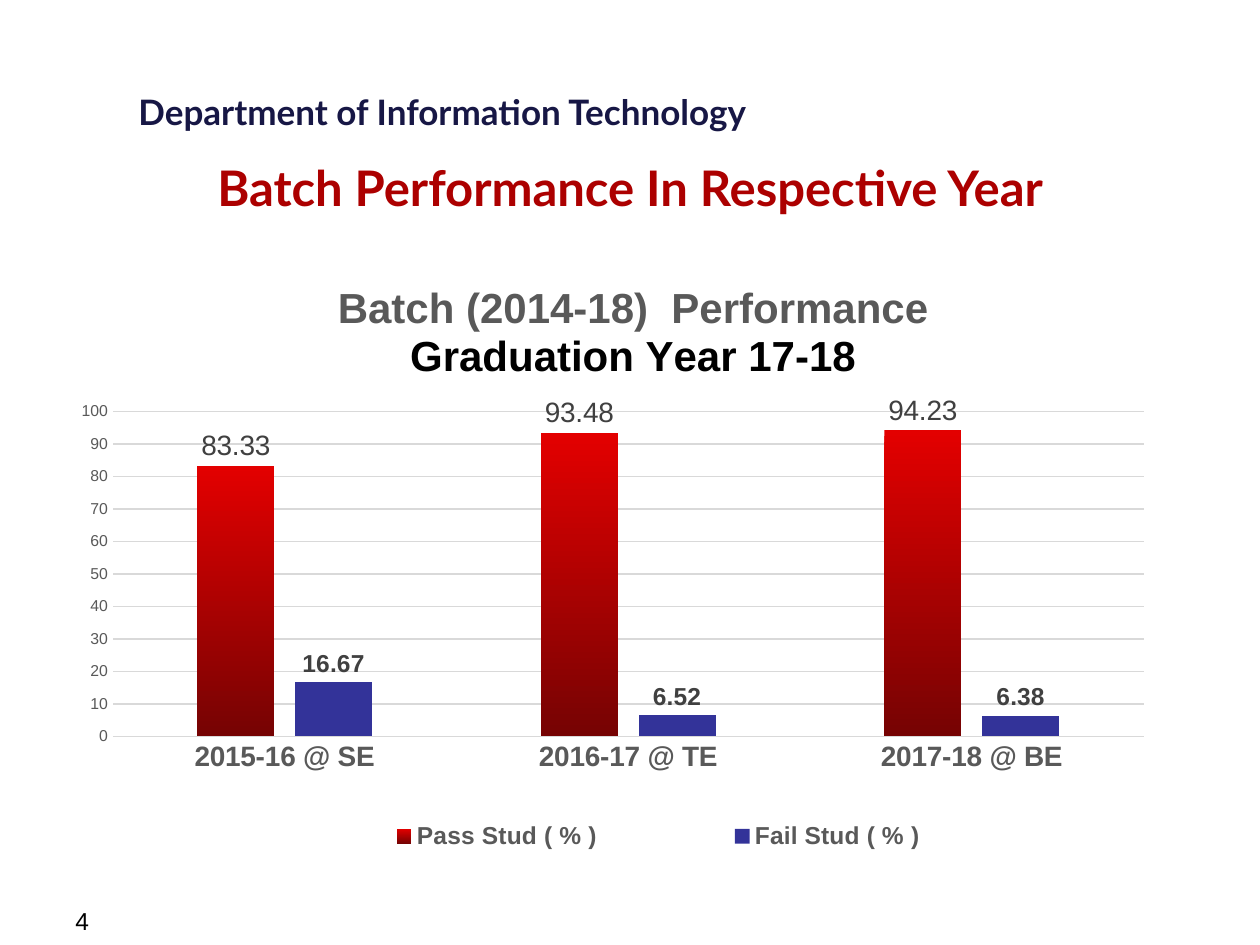
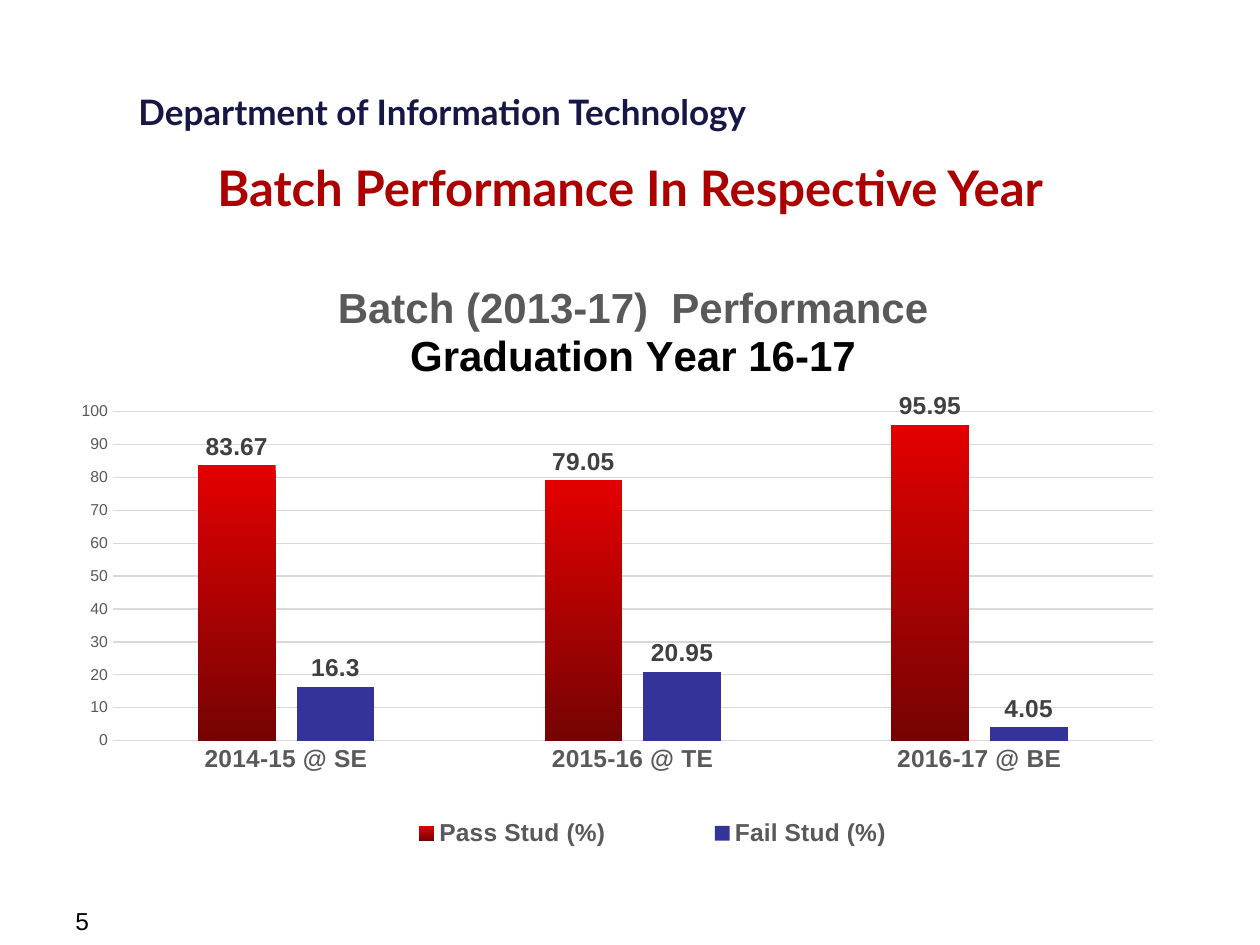
from lxml.etree import SubElement
from pptx import Presentation
from pptx.chart.data import CategoryChartData as Data
from pptx.dml.color import RGBColor as RGB
from pptx.enum.chart import XL_CHART_TYPE as Kind, XL_LABEL_POSITION as Spot
from pptx.enum.chart import XL_LEGEND_POSITION as Side, XL_TICK_MARK as Tick
from pptx.enum.text import PP_ALIGN as Align
from pptx.oxml import parse_xml
from pptx.oxml.ns import nsdecls, qn
from pptx.util import Inches, Pt

NAVY, RED, BLUE = "171745", "AC0000", "333399"
BLACK, GREY, DARK, PALE = "000000", "595959", "404040", "D9D9D9"
SHADE = ("E30000", "760303")

BATCHES = [
    dict(
        page="4",
        title=("Batch (2014-18)  Performance", "Graduation Year 17-18"),
        years=("2015-16 @ SE", "2016-17 @ TE", "2017-18 @ BE"),
        rates={
            "Pass Stud ( % )": (83.33, 93.48, 94.23),
            "Fail Stud ( % )": (16.67, 6.52, 6.38),
        },
        year_size=16,
        labels=((16, False), (14, True)),
        plot=(0.044, 0.227, 0.909, 0.534),
        legend=(0.18, 0.885, 0.69, 0.08),
    ),
    dict(
        page="5",
        title=("Batch (2013-17)  Performance", "Graduation Year 16-17"),
        years=("2014-15 @ SE", "2015-16 @ TE", "2016-17 @ BE"),
        rates={
            "Pass Stud (%)": (83.67, 79.05, 95.95),
            "Fail Stud (%)": (16.3, 20.95, 4.05),
        },
        year_size=14,
        labels=((14, True), (14, True)),
        plot=(0.044, 0.227, 0.917, 0.541),
        legend=(0.225, 0.88, 0.59, 0.08),
    ),
]


def color(code):
    """Turn a hex string into a colour."""
    return RGB.from_string(code)


def style(font, size, code, bold=False, face="Arial"):
    """Set the face, size, colour and weight of a font."""
    font.name, font.size, font.bold = face, Pt(size), bold
    font.color.rgb = color(code)


def add_text(slide, text, box, size, code, bold=False, face="Arial",
             align=Align.LEFT, wrap=True):
    """Add one line of styled text in a box."""
    frame = slide.shapes.add_textbox(*map(Inches, box)).text_frame
    frame.text, frame.word_wrap = text, wrap
    line = frame.paragraphs[0]
    line.alignment = align
    style(line.runs[0].font, size, code, bold, face)


def add_frame(slide, page):
    """Add the department, the heading and the page number."""
    add_text(slide, "Department of Information Technology",
             (1, 0.67, 5.35, 0.44), 20, NAVY, True, "Lato", wrap=False)
    add_text(slide, "Batch Performance In Respective Year",
             (0.5, 1.2, 9, 0.48), 28, RED, True, "Lato", Align.CENTER)
    add_text(slide, page, (0.5, 7.14, 2.33, 0.27), 14, BLACK)


def place(part, index, spot, inner=False):
    """Fix a chart part at fractions of the chart area."""
    for old in part.findall(qn("c:layout")):
        part.remove(old)
    layout = parse_xml(f"<c:layout {nsdecls('c')}><c:manualLayout/></c:layout>")
    rules = [("layoutTarget", "inner")] if inner else []
    rules += [("xMode", "edge"), ("yMode", "edge")]
    rules += zip("xywh", spot)
    for tag, value in rules:
        SubElement(layout[0], qn(f"c:{tag}")).set("val", str(value))
    part.insert(index, layout)


def set_title(chart, lines):
    """Write the two lines of the chart title."""
    title = chart.chart_title
    frame = title.text_frame
    frame.text = "\n".join(lines)
    for line, code in zip(frame.paragraphs, (GREY, BLACK)):
        style(line.runs[0].font, 24, code, True)
    place(title._element, 1, (0.239, 0.01))


def set_axes(chart, size):
    """Style the year axis and the percent axis."""
    years, rates = chart.category_axis, chart.value_axis
    for axis in (years, rates):
        axis.major_tick_mark = axis.minor_tick_mark = Tick.NONE
    style(years.tick_labels.font, size, GREY, True)
    style(rates.tick_labels.font, 9, GREY)
    rates.minimum_scale, rates.maximum_scale, rates.major_unit = 0, 100, 10
    rates.format.line.fill.background()
    for line in (years.format.line, rates.major_gridlines.format.line):
        line.color.rgb, line.width = color(PALE), Pt(0.75)


def set_bars(plot, labels):
    """Fill the bars and label them with their values."""
    plot.gap_width, plot.overlap, plot.vary_by_categories = 219, -27, False
    passed, failed = plot.series
    fill = passed.format.fill
    fill.gradient()
    fill.gradient_angle = 270
    for stop, code in zip(fill.gradient_stops, SHADE):
        stop.color.rgb = color(code)
    failed.format.fill.solid()
    failed.format.fill.fore_color.rgb = color(BLUE)
    for bars, (size, bold) in zip(plot.series, labels):
        marks = bars.data_labels
        marks.show_value, marks.position = True, Spot.OUTSIDE_END
        style(marks.font, size, DARK, bold)


def add_chart(slide, batch):
    """Add the pass and fail chart of a batch."""
    data = Data()
    data.categories = batch["years"]
    for name, values in batch["rates"].items():
        data.add_series(name, values)
    box = map(Inches, (0.5, 2.17, 9, 4.83))
    chart = slide.shapes.add_chart(Kind.COLUMN_CLUSTERED, *box, data).chart
    style(chart.font, 10, BLACK)
    set_title(chart, batch["title"])
    set_axes(chart, batch["year_size"])
    set_bars(chart.plots[0], batch["labels"])
    chart.has_legend = True
    legend = chart.legend
    legend.position, legend.include_in_layout = Side.RIGHT, False
    style(legend.font, 14, GREY, True)
    place(legend._element, 1, batch["legend"])
    area = chart._chartSpace.chart.plotArea
    place(area, 0, batch["plot"], inner=True)


def main():
    """Build one slide for each batch."""
    deck = Presentation()
    deck.slide_width, deck.slide_height = Inches(10), Inches(7.5)
    for batch in BATCHES:
        slide = deck.slides.add_slide(deck.slide_layouts[6])
        add_frame(slide, batch["page"])
        add_chart(slide, batch)
    deck.save("out.pptx")


if __name__ == "__main__":
    main()
